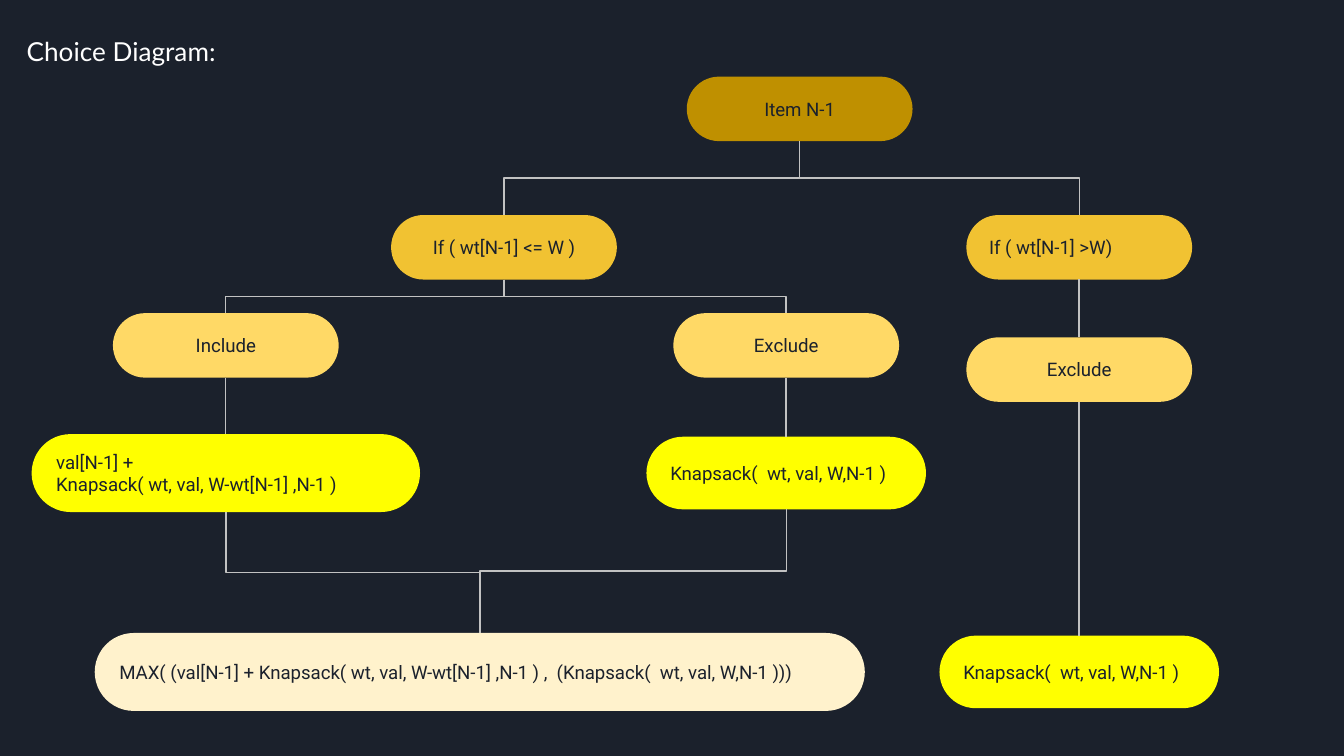
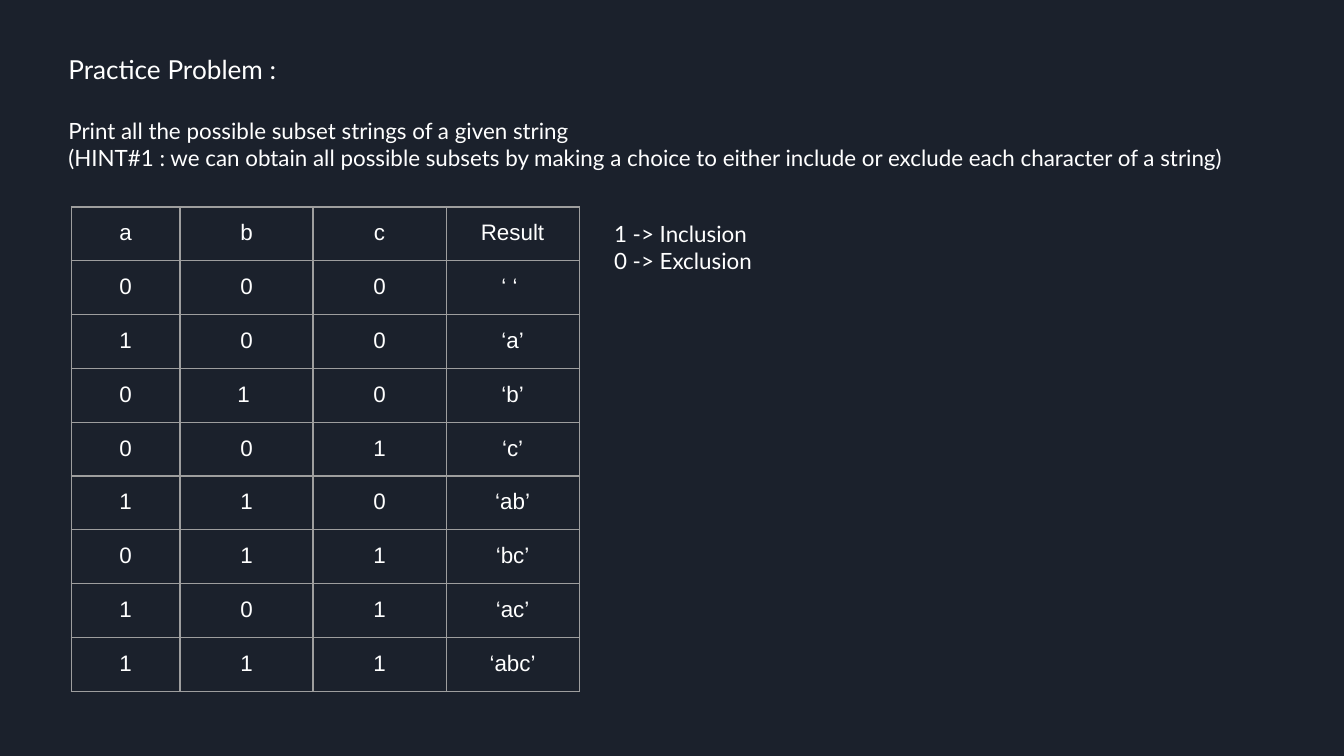
from dataclasses import dataclass
from typing import NamedTuple

from lxml import etree
from pptx import Presentation
from pptx import util as u
from pptx.dml.color import RGBColor
from pptx.enum import shapes, text
from pptx.oxml import ns


@dataclass(frozen=True)
class Theme:
    ink: RGBColor = RGBColor.from_string("1B212C")
    white: RGBColor = RGBColor.from_string("FFFFFF")
    wire: RGBColor = RGBColor.from_string("C2C2C2")
    grid: str = "9E9E9E"
    root: RGBColor = RGBColor.from_string("BF9000")
    condition: RGBColor = RGBColor.from_string("F1C232")
    choice: RGBColor = RGBColor.from_string("FFD966")
    call: RGBColor = RGBColor.from_string("FFFF00")
    result: RGBColor = RGBColor.from_string("FFF2CC")
    title_font: str = "Lato"
    node_font: str = "Roboto"
    table_font: str = "Arial"
    title_size: int = 14
    body_size: int = 12
    node_size: int = 10
    line_width: float = 0.75
    inset: float = 0.1


THEME = Theme()


class Node(NamedTuple):
    """A pill of the choice diagram, placed by its horizontal centre and top."""
    label: str
    centre: float
    top: float
    fill: RGBColor
    width: float = 1.68
    height: float = 0.48
    centred: bool = True


INCLUDE_X, FITS_X, EXCLUDE_X, HEAVY_X = 1.68, 3.75, 5.85, 8.03
SKIP_CALL = "Knapsack(  wt, val, W,N-1 )"

NODES = {
    "item": Node("Item N-1", 5.95, 0.57, THEME.root),
    "heavy": Node("If ( wt[N-1] >W)", HEAVY_X, 1.6, THEME.condition, centred=False),
    "fits": Node("If ( wt[N-1] <= W )", FITS_X, 1.6, THEME.condition),
    "include": Node("Include", INCLUDE_X, 2.33, THEME.choice),
    "exclude": Node("Exclude", EXCLUDE_X, 2.33, THEME.choice),
    "heavy exclude": Node("Exclude", HEAVY_X, 2.51, THEME.choice),
    "include call": Node("val[N-1] +\nKnapsack( wt, val, W-wt[N-1] ,N-1 )",
                         INCLUDE_X, 3.23, THEME.call, 2.89, 0.58, False),
    "exclude call": Node(SKIP_CALL, EXCLUDE_X, 3.25, THEME.call, 2.08, 0.54, False),
    "heavy call": Node(SKIP_CALL, HEAVY_X, 4.73, THEME.call, 2.08, 0.54, False),
    "max": Node("MAX( (val[N-1] + Knapsack( wt, val, W-wt[N-1] ,N-1 ) ,  "
                "(Knapsack(  wt, val, W,N-1 )))",
                3.57, 4.71, THEME.result, 5.73, 0.58, False),
}

LINKS = [
    ("item", "heavy"), ("item", "fits"),
    ("fits", "exclude"), ("fits", "include"),
    ("heavy", "heavy exclude"), ("heavy exclude", "heavy call"),
    ("include", "include call"), ("exclude", "exclude call"),
    ("include call", "max"), ("exclude call", "max"),
]

SUBSETS = [
    ("a", "b", "c", "Result"),
    ("0", "0", "0", "‘ ‘ "),
    ("1", "0", "0", "‘a’"),
    ("0", "1 ", "0", "‘b’"),
    ("0", "0", "1", "‘c’"),
    ("1", "1", "0", "‘ab’"),
    ("0", "1", "1", "‘bc’"),
    ("1", "0", "1", "‘ac’"),
    ("1", "1", "1", "‘abc’"),
]
COLUMN_WIDTHS = [0.81, 0.99, 0.99, 0.99]
ROW_HEIGHT = 0.4


def style_para(para, font: str, size: int, color: RGBColor, centred: bool = False) -> None:
    para.alignment = text.PP_ALIGN.CENTER if centred else text.PP_ALIGN.LEFT
    for span in para.runs:
        span.font.name = font
        span.font.size = u.Pt(size)
        span.font.color.rgb = color


def set_insets(holder) -> None:
    """Give a text frame or table cell the same margin on every side."""
    margin = u.Inches(THEME.inset)
    holder.margin_left = holder.margin_right = margin
    holder.margin_top = holder.margin_bottom = margin


def add_text(page, left: float, top: float, width: float, height: float,
             content: str, titled: bool = False):
    """Add white text; when titled, the first line takes the title size."""
    box = page.shapes.add_textbox(*map(u.Inches, (left, top, width, height)))
    frame = box.text_frame
    frame.text = content
    frame.word_wrap = True
    frame.auto_size = text.MSO_AUTO_SIZE.SHAPE_TO_FIT_TEXT
    set_insets(frame)
    for index, para in enumerate(frame.paragraphs):
        size = THEME.title_size if titled and index == 0 else THEME.body_size
        style_para(para, THEME.title_font, size, THEME.white)
    return box


def add_node(page, node: Node):
    pill = page.shapes.add_shape(
        shapes.MSO_SHAPE.ROUNDED_RECTANGLE,
        u.Inches(node.centre - node.width / 2), u.Inches(node.top),
        u.Inches(node.width), u.Inches(node.height))
    pill.adjustments[0] = 0.5
    pill.shadow.inherit = False
    pill.fill.solid()
    pill.fill.fore_color.rgb = node.fill
    pill.line.fill.background()
    frame = pill.text_frame
    frame.text = node.label
    frame.word_wrap = True
    frame.vertical_anchor = text.MSO_ANCHOR.MIDDLE
    set_insets(frame)
    for para in frame.paragraphs:
        style_para(para, THEME.node_font, THEME.node_size, THEME.ink, node.centred)
    return pill


def add_link(page, upper: Node, lower: Node, upper_pill, lower_pill) -> None:
    """Join two pills by an elbow turned to leave downwards from the upper one."""
    start_y = upper.top + upper.height
    drop = lower.top - start_y
    shift = lower.centre - upper.centre
    link = page.shapes.add_connector(shapes.MSO_CONNECTOR.ELBOW, 0, 0, 0, 0)
    link.begin_connect(upper_pill, 2)
    link.end_connect(lower_pill, 0)
    link.left = u.Inches((upper.centre + lower.centre - drop) / 2)
    link.top = u.Inches((start_y + lower.top - abs(shift)) / 2)
    link.width, link.height = u.Inches(drop), u.Inches(abs(shift))
    frame = link._element.spPr.xfrm
    frame.flipH, frame.flipV = shift >= 0, False
    frame.rot = 270 if shift >= 0 else 90
    link.line.color.rgb = THEME.wire
    link.line.width = u.Pt(THEME.line_width)
    etree.SubElement(link._element.spPr, ns.qn("a:effectLst"))


def add_cell_borders(cell) -> None:
    properties = cell._tc.get_or_add_tcPr()
    for side in ("lnL", "lnR", "lnT", "lnB"):
        border = etree.SubElement(properties, ns.qn(f"a:{side}"),
                                  w=str(u.Pt(THEME.line_width)))
        fill = etree.SubElement(border, ns.qn("a:solidFill"))
        etree.SubElement(fill, ns.qn("a:srgbClr"), val=THEME.grid)


def add_subset_table(page, left: float, top: float) -> None:
    table = page.shapes.add_table(
        len(SUBSETS), len(COLUMN_WIDTHS), u.Inches(left), u.Inches(top),
        u.Inches(sum(COLUMN_WIDTHS)), u.Inches(ROW_HEIGHT * len(SUBSETS))).table
    table.first_row = table.horz_banding = False
    for column, width in zip(table.columns, COLUMN_WIDTHS):
        column.width = u.Inches(width)
    for row, values in zip(table.rows, SUBSETS):
        row.height = u.Inches(ROW_HEIGHT)
        for cell, value in zip(row.cells, values):
            cell.text_frame.text = value
            set_insets(cell)
            add_cell_borders(cell)
            cell.fill.background()
            style_para(cell.text_frame.paragraphs[0], THEME.table_font,
                       THEME.body_size, THEME.white, centred=True)


def new_page(deck):
    page = deck.slides.add_slide(deck.slide_layouts[6])
    page.background.fill.solid()
    page.background.fill.fore_color.rgb = THEME.ink
    return page


def build_choice_diagram(deck) -> None:
    page = new_page(deck)
    add_text(page, 0.1, 0.16, 3.84, 0.44, "Choice Diagram:", titled=True)
    pills = {name: add_node(page, node) for name, node in NODES.items()}
    for upper, lower in LINKS:
        add_link(page, NODES[upper], NODES[lower], pills[upper], pills[lower])


def build_practice_problem(deck) -> None:
    page = new_page(deck)
    problem = add_text(
        page, 0.41, 0.3, 9.29, 1.08,
        "Practice Problem :\n"
        "Print all the possible subset strings of a given string\n"
        "(HINT#1 : we can obtain all possible subsets by making a choice "
        "to either include or exclude each character of a string)",
        titled=True)
    problem.text_frame.paragraphs[0].space_after = u.Pt(17)
    add_subset_table(page, 0.53, 1.54)
    add_text(page, 4.47, 1.54, 2.48, 0.61, "1 -> Inclusion\n0 -> Exclusion")


def main() -> None:
    deck = Presentation()
    deck.slide_width = u.Inches(10)
    deck.slide_height = deck.slide_width * 9 // 16
    build_choice_diagram(deck)
    build_practice_problem(deck)
    deck.save("out.pptx")


if __name__ == "__main__":
    main()
